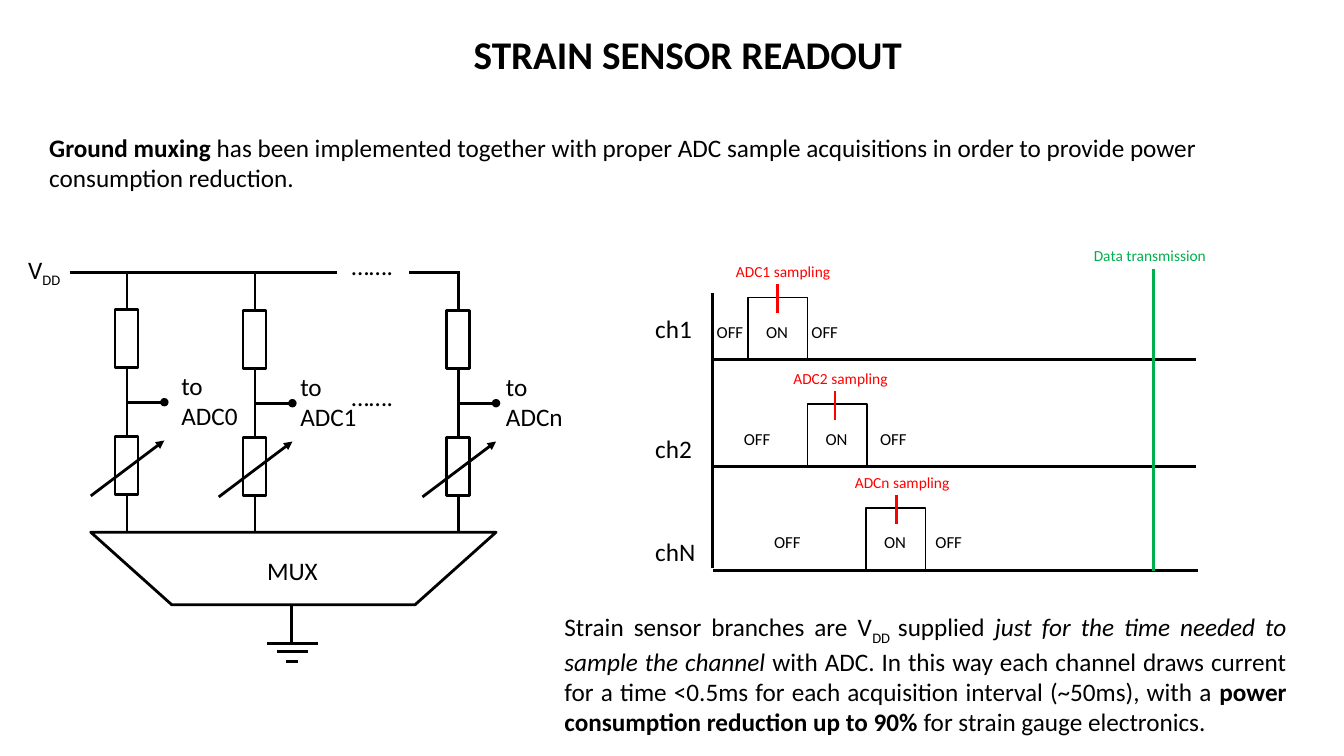
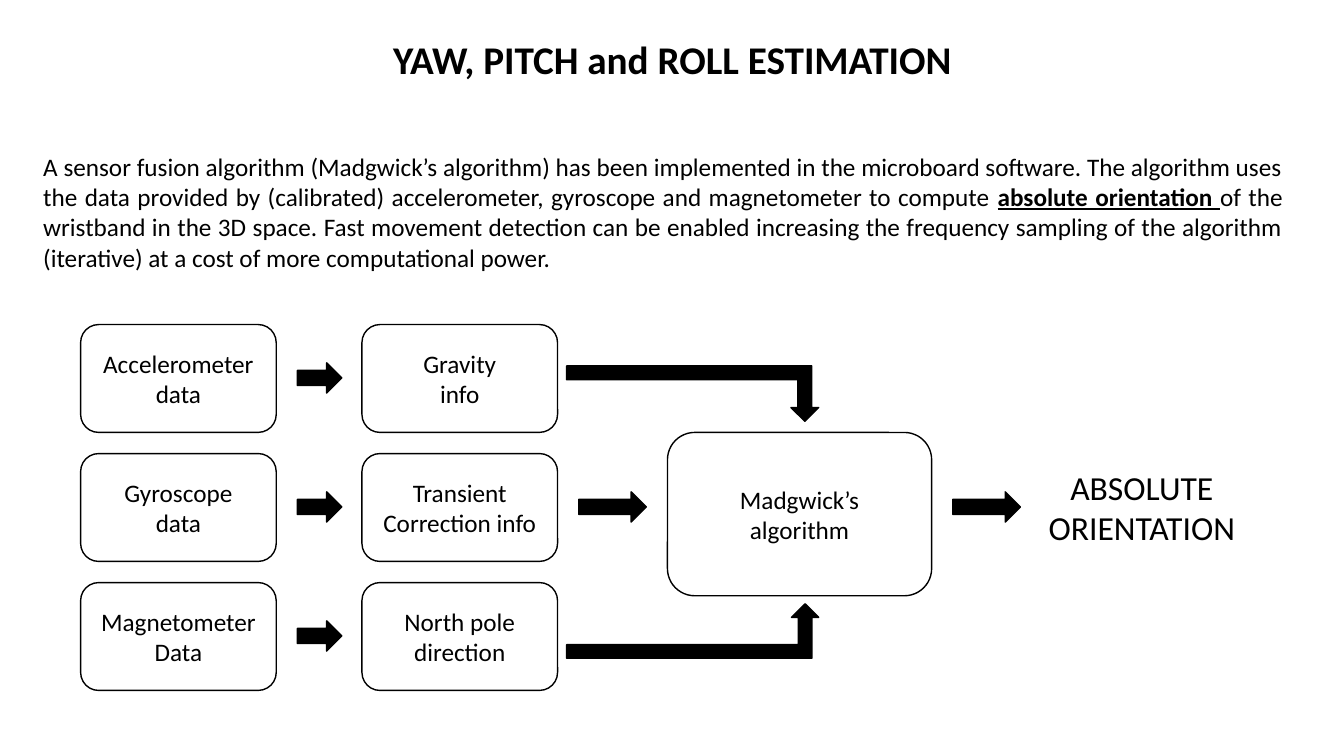
"""Builds two slides on strain sensor readout and orientation estimation."""
from dataclasses import dataclass, field

from lxml.etree import SubElement
from pptx import Presentation
from pptx.dml.color import RGBColor
from pptx.enum.shapes import MSO_CONNECTOR as Link, MSO_SHAPE as Form
from pptx.enum.text import MSO_ANCHOR as Anchor, MSO_AUTO_SIZE as Fit, PP_ALIGN as Align
from pptx.oxml.ns import qn
from pptx.util import Inches, Pt

BLACK, WHITE, RED, GREEN = "000000", "FFFFFF", "FF0000", "00B050"
FONT = "Calibri"
BOLD = {"bold": True}


@dataclass(frozen=True)
class Run:
    text: str
    style: dict = field(default_factory=dict)
    sub: bool = False


@dataclass(frozen=True)
class Branch:
    x: float
    y: float
    name: str
    left: float


@dataclass(frozen=True)
class Channel:
    name: str
    base: float
    label: float
    pulse: float
    tick: float
    before: float
    after: float
    sample: str
    end: float = 11.86


@dataclass(frozen=True)
class Box:
    x: float
    y: float
    text: str
    w: float = 1.94
    h: float = 1.07


@dataclass(frozen=True)
class Arrow:
    x: float
    y: float
    w: float
    h: float = 0.3
    form: Form = Form.RIGHT_ARROW
    flip: bool = False


def paint(color, value: str) -> None:
    color.rgb = RGBColor.from_string(value)


def write(frame, paras: list, size: float = 18, color: str = BLACK, align=Align.LEFT) -> None:
    for i, runs in enumerate(paras):
        para = frame.paragraphs[0] if i == 0 else frame.add_paragraph()
        para.alignment = align
        for item in runs:
            run = para.add_run()
            run.text = item.text
            base = {"name": FONT, "size": Pt(size)}
            for key, value in (base | item.style).items():
                setattr(run.font, key, value)
            paint(run.font.color, color)
            if item.sub:
                run.font._element.set("baseline", "-25000")


def plain(text: str, **style) -> list:
    return [[Run(line, style)] for line in text.split("\n")]


def add_text(slide, x: float, y: float, w: float, h: float, paras: list,
             wrap: bool = False, **look) -> None:
    frame = slide.shapes.add_textbox(Inches(x), Inches(y), Inches(w), Inches(h)).text_frame
    frame.word_wrap = wrap
    frame.auto_size = Fit.SHAPE_TO_FIT_TEXT
    write(frame, paras, **look)


def add_title(slide, x: float, y: float, w: float, text: str) -> None:
    add_text(slide, x, y, w, 0.57, plain(text, **BOLD), size=28)


def add_line(slide, x1: float, y1: float, x2: float, y2: float,
             color: str = BLACK, width: float = 2, tail: str = "") -> None:
    line = slide.shapes.add_connector(Link.STRAIGHT, *map(Inches, (x1, y1, x2, y2)))
    paint(line.line.color, color)
    line.line.width = Pt(width)
    if tail:
        SubElement(line.line._get_or_add_ln(), qn("a:tailEnd"), type=tail)
    SubElement(line._element.spPr, qn("a:effectLst"))


def add_form(slide, form, x: float, y: float, w: float, h: float,
             fill: str = "", width: float = 1):
    shape = slide.shapes.add_shape(form, Inches(x), Inches(y), Inches(w), Inches(h))
    shape.shadow.inherit = False
    if fill:
        shape.fill.solid()
        paint(shape.fill.fore_color, fill)
    else:
        shape.fill.background()
    paint(shape.line.color, BLACK)
    shape.line.width = Pt(width)
    return shape


def add_branch(slide, b: Branch) -> None:
    for top in (0.38, 1.64):
        add_form(slide, Form.RECTANGLE, b.x - 0.12, b.y + top, 0.23, 0.58, width=2)
    for top, end in ((0, 0.38), (0.96, 1.64), (2.22, 2.58)):
        add_line(slide, b.x, b.y + top, b.x, b.y + end)
    add_line(slide, b.x, b.y + 1.3, b.x + 0.37, b.y + 1.3, tail="oval")
    add_line(slide, b.x - 0.36, b.y + 2.23, b.x + 0.37, b.y + 1.68, tail="triangle")
    add_text(slide, b.left, b.y + 0.93, 0.77, 0.71, plain(f"to\n{b.name}"))


def add_channel(slide, c: Channel) -> None:
    add_line(slide, 7.07, c.base, c.end, c.base)
    add_form(slide, Form.RECTANGLE, c.pulse, c.base - 0.62, 0.59, 0.61, WHITE)
    add_text(slide, 6.4, c.label, 0.7, 0.4, plain(c.name), wrap=True)
    for x, w, state in ((c.before, 0.47, "OFF"), (c.pulse + 0.08, 0.42, "ON"),
                        (c.after, 0.47, "OFF")):
        add_text(slide, x, c.base - 0.43, w, 0.3, plain(state), size=12)
    add_line(slide, c.tick, c.base - 0.75, c.tick, c.base - 0.46, RED, 1.75)
    add_text(slide, c.tick - 0.51, c.base - 1.02, 1.22, 0.29,
             plain(f"{c.sample} sampling"), wrap=True, size=11, color=RED)


def add_circuit(slide) -> None:
    for branch in (Branch(1.26, 2.69, "ADC0", 1.7), Branch(2.53, 2.7, "ADC1", 2.88),
                   Branch(4.55, 2.7, "ADCn", 4.92)):
        add_branch(slide, branch)
    add_line(slide, 0.69, 2.7, 3.34, 2.7)
    add_line(slide, 4.06, 2.7, 4.56, 2.7)
    add_form(slide, Form.FLOWCHART_MANUAL_OPERATION, 0.9, 5.28, 4.02, 0.72, width=2)
    add_line(slide, 2.89, 6, 2.89, 6.38)
    for half, y in ((0.25, 6.38), (0.15, 6.46), (0.06, 6.56)):
        add_line(slide, 2.9 - half, y, 2.9 + half, y)
    add_text(slide, 2.55, 5.46, 0.71, 0.4, plain("MUX"))
    for y in (2.43, 3.73):
        add_text(slide, 3.39, y, 0.85, 0.4, plain("……."), wrap=True)
    add_text(slide, 0.18, 2.47, 0.55, 0.4, [[Run("V"), Run("DD", sub=True)]])


def add_timing(slide) -> None:
    add_line(slide, 7.07, 5.64, 7.07, 2.91)
    for channel in (
        Channel("ch1", 3.57, 3.06, 7.42, 7.71, 7.01, 7.95, "ADC1"),
        Channel("ch2", 4.63, 4.25, 8.01, 8.28, 7.28, 8.63, "ADC2"),
        Channel("chN", 5.66, 5.27, 8.59, 8.89, 7.58, 9.18, "ADCn", 11.88),
    ):
        add_channel(slide, channel)
    add_line(slide, 11.44, 2.67, 11.44, 5.66, GREEN, 1.75)
    add_text(slide, 10.75, 2.39, 1.36, 0.29, plain("Data transmission"),
             wrap=True, size=11, color=GREEN)


def build_readout(slide) -> None:
    add_title(slide, 4.6, 0.25, 4.5, "STRAIN SENSOR READOUT")
    add_text(slide, 0.39, 1.26, 12.36, 0.71, [[
        Run("Ground muxing ", BOLD),
        Run("has been implemented together with proper ADC sample acquisitions "
            "in order to provide power consumption reduction."),
    ]], wrap=True)
    add_circuit(slide)
    add_timing(slide)
    add_text(slide, 5.5, 6.02, 7.36, 1.31, [[
        Run("Strain sensor branches are V"),
        Run("DD ", sub=True),
        Run("supplied "),
        Run("just for the time needed to sample the channel ", {"italic": True}),
        Run("with ADC. In this way each channel draws current for a time <0.5ms "
            "for each acquisition interval (~50ms), with a "),
        Run("power consumption reduction up to 90% ", BOLD),
        Run("for strain gauge electronics."),
    ]], wrap=True, align=Align.JUSTIFY)


def build_fusion(slide) -> None:
    add_title(slide, 3.8, 0.3, 5.81, "YAW, PITCH and ROLL ESTIMATION")
    add_text(slide, 0.33, 1.45, 12.49, 1.31, [[
        Run("A sensor fusion algorithm (Madgwick’s algorithm) has been implemented in the "
            "microboard software. The algorithm uses the data provided by (calibrated) "
            "accelerometer, gyroscope and magnetometer to compute "),
        Run("absolute orientation ", BOLD | {"underline": True}),
        Run("of the wristband in the 3D space. Fast movement detection can be enabled "
            "increasing the frequency sampling of the algorithm (iterative) at a cost "
            "of more computational power."),
    ]], wrap=True, align=Align.JUSTIFY)
    rows = (("Accelerometer\ndata", "Gravity\ninfo"),
            ("Gyroscope\ndata", "Transient\nCorrection info"),
            ("Magnetometer Data", "North pole\ndirection"))
    tops = [3.22 + 1.28 * i for i in range(len(rows))]
    boxes = [Box(x, y, text) for y, row in zip(tops, rows)
             for x, text in zip((0.8, 3.59), row)]
    boxes.append(Box(6.62, 4.29, "Madgwick’s\nalgorithm", 2.62, 1.62))
    for box in boxes:
        shape = add_form(slide, Form.ROUNDED_RECTANGLE, box.x, box.y, box.w, box.h, WHITE)
        shape.text_frame.word_wrap = True
        shape.text_frame.vertical_anchor = Anchor.MIDDLE
        write(shape.text_frame, plain(box.text), align=Align.CENTER)
    arrows = [Arrow(2.95, y + 0.38, 0.44) for y in tops]
    arrows += [Arrow(x, 4.88, 0.67) for x in (5.74, 9.45)]
    arrows += [Arrow(5.62, 3.63, 2.5, 0.55, Form.BENT_UP_ARROW, True),
               Arrow(5.62, 5.99, 2.5, 0.54, Form.BENT_UP_ARROW)]
    for arrow in arrows:
        shape = add_form(slide, arrow.form, arrow.x, arrow.y, arrow.w, arrow.h, BLACK)
        if arrow.flip:
            shape._element.spPr.xfrm.set("flipV", "1")
    add_text(slide, 10.29, 4.58, 2.07, 0.91, plain("ABSOLUTE\nORIENTATION"),
             size=24, align=Align.CENTER)


def main() -> None:
    deck = Presentation()
    deck.slide_width, deck.slide_height = Inches(13.33), Inches(7.5)
    for build in (build_readout, build_fusion):
        build(deck.slides.add_slide(deck.slide_layouts[6]))
    deck.save("out.pptx")


if __name__ == "__main__":
    main()
